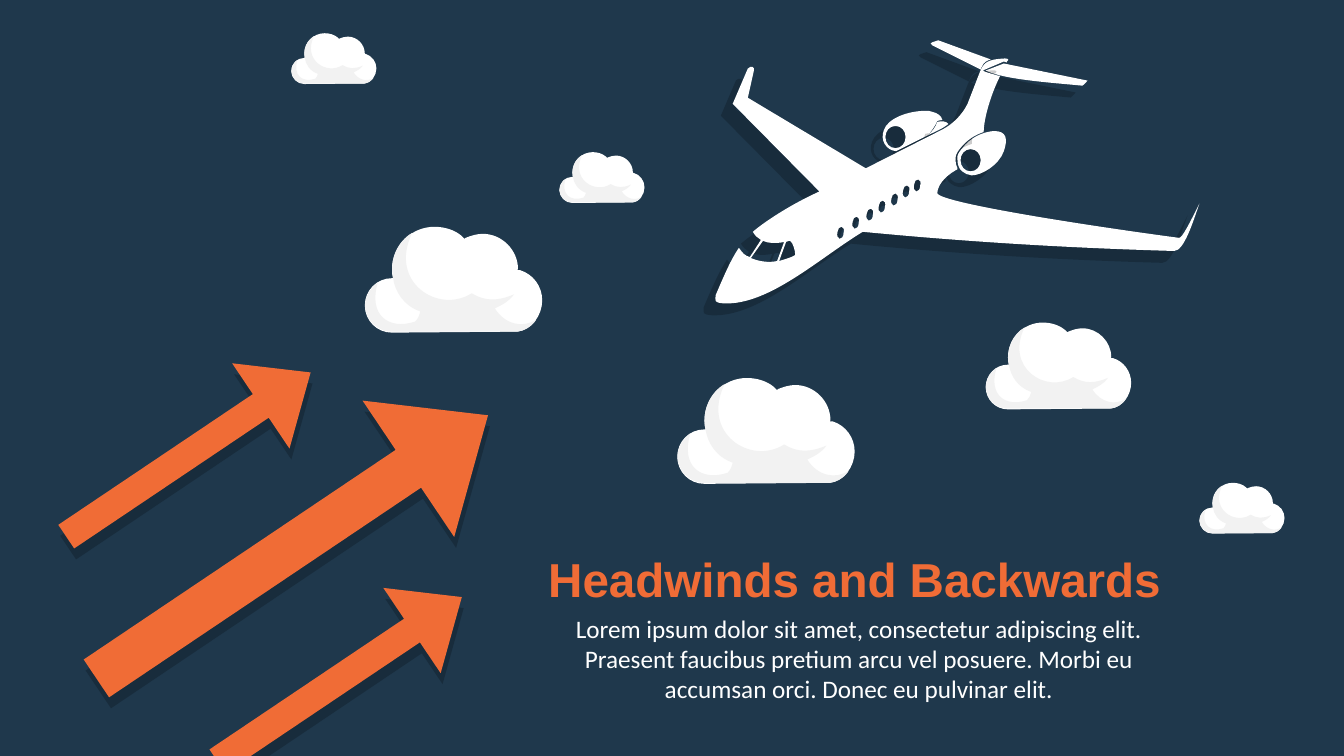
from lxml import etree
from pptx import Presentation
from pptx.dml.color import RGBColor
from pptx.enum.shapes import MSO_SHAPE
from pptx.enum.text import MSO_AUTO_SIZE, PP_ALIGN
from pptx.oxml.ns import qn
from pptx.util import Cm, Pt

RECT, ARROW = MSO_SHAPE.RECTANGLE, MSO_SHAPE.RIGHT_ARROW
CENTER, FIT = PP_ALIGN.CENTER, MSO_AUTO_SIZE.SHAPE_TO_FIT_TEXT
NAVY, ORANGE, WHITE, GREY = "1F384C", "F06C36", "FFFFFF", "F2F2F2"
UNIT = Cm(0.0254)
FINE = 10

PUFF = ("69 0, 79 0 89 3 96 9, 99 12, 100 11, 105 9 111 7 117 7, 136 7 152 23 152 42, 151 43, "
        "154 43, 167 47 176 59 176 73, 176 88 165 103 151 104, 27 105, 12 105 0 93 0 78, "
        "0 63 12 51 27 51, 28 51, 27 48 27 45 27 42, 27 19 46 0 69 0")
SHADE = ("13 55, 3 87 23 103 50 94, 53 91 54 88 55 84, 38 78 30 64 28 51, 24 32 33 14 47 6, "
         "23 55 73 87 106 66, 119 74 132 74 148 67, 143 74 137 77 129 81, 139 97 157 101 170 92, "
         "166 99 158 103 152 104, 26 104, 16 104 6 97 2 87, -2 78 0 65 13 55")
CLOUDS = [(362, 225, 1), (555, 151, 0.48), (1190, 479, 0.48),
          (672, 375, 1), (978, 320, 0.82), (289, 33, 0.48)]

PANE = "0 0, -2 0 -4 2 -4 5, -5 9 -4 11 -2 12, 0 12 2 10 2 6, 3 3 2 0 0 0"
PANES = [(835, 225), (850, 215), (864, 207), (876, 199), (888.5, 192), (900, 184), (911, 178)]
RING = "0 -11, -6 -11 -10 -6 -10 0, -10 6 -6 11 0 11, 6 11 10 6 10 0, 10 -6 6 -11 0 -11"
RIGHT = ("986 130, 999 130 1000 138 996 150, 991 164 974 174 964 174, 957 173 950 169 950 159, "
         "949 154 951 152 954 148, 963 136 975 131 986 130")
LEFT = ("918 110, 921 110 923 110 925 111, 930 112 934 115 935 119, 933 119 931 120 930 120, "
        "928 125 924 130 921 134, 919 135, 889 150, 879 149 873 139 877 129, 881 117 902 110 918 110")
MOUNT = "921 134, 925 130 928 127 930 121, 934 120 939 120 941 123, 935 128 927 131 921 134"
TAILS = ["978 70, 996 63, 1079 80, 1078 82 1076 83 1074 85, 1043 82 996 79 978 70",
         "925 45, 923 44 923 42 925 42, 927 41 929 41 931 40, 983 59, 976 61 975 64 973 69"]
GLASS = ["757 239, 745 256, 752 259 762 261 771 259, 778 240, 770 242 761 241 757 239",
         "784 239, 783 239 782 239 780 240, 773 259, 779 257 784 256 789 253, 789 249 787 241 784 239"]
HULL = ("997 58, 1000 58 1002 59 999 61, 999 62, 996 61, 975 70, 978 72 984 73 990 75, 992 75, "
        "992 76, 983 94 976 118 976 131, 967 134 959 139 952 148, 949 152 948 154 948 159, "
        "948 162 949 165 950 167, 950 168, 948 169, 936 176 930 185 930 192, "
        "936 202 1087 225 1170 236, 1173 236 1180 222 1190 202, 1184 219 1175 249 1165 249, "
        "1060 246 960 240 856 230, 813 256 763 303 718 301, 708 300 710 299 710 293, "
        "719 272 725 258 733 246, 734 247, 736 250 739 254 744 255, 755 238, "
        "752 236 749 234 747 230, 756 222 782 204 813 190, 727 103, 742 68, "
        "745 65 749 66 748 70, 742 97, 859 167, 936 128, 945 123 954 115 960 103, 972 72, "
        "976 62 979 59 997 58")


def tint(code):
    """Turn a hex string into a colour."""
    return RGBColor.from_string(code)


def trace(route, left=0, top=0, size=1):
    """Return the steps of a closed outline: one point for a line, three for a curve."""
    loop = []
    for part in route.split(","):
        nums = [float(n) for n in part.split()]
        loop.append([((x * size + left) * FINE, (y * size + top) * FINE)
                     for x, y in zip(nums[::2], nums[1::2])])
    return loop


def paint(shape, fill, cast=None):
    """Fill a shape, with a faint hard shadow if cast gives its distance and angle."""
    shape.fill.solid()
    shape.fill.fore_color.rgb = tint(fill)
    shape.line.fill.background()
    shape.shadow.inherit = False
    if cast:
        reach, angle = cast
        effects = shape._element.spPr.find(qn("a:effectLst"))
        shade = etree.SubElement(effects, qn("a:outerShdw"), blurRad="0", dist=str(Pt(reach)),
                                 dir=str(angle * 60000), algn="ctr", rotWithShape="0")
        black = etree.SubElement(shade, qn("a:srgbClr"), val="000000")
        etree.SubElement(black, qn("a:alpha"), val="20000")


def bend(shape, loops):
    """Join each run of three points into a cubic curve."""
    track = next(shape._element.iter(qn("a:path")))
    nodes = iter(list(track))
    for loop in loops:
        for step in loop:
            group = [next(nodes) for _ in step]
            if len(group) == 3:
                curve = etree.Element(qn("a:cubicBezTo"))
                group[0].addprevious(curve)
                for node in group:
                    curve.append(node[0])
                    track.remove(node)
        next(nodes)


def draw(shapes, loops, fill, cast=None):
    """Draw one freeform from closed loops, where inner loops are holes."""
    pen = shapes.build_freeform(*loops[0][0][0], scale=UNIT / FINE)
    for index, (start, *steps) in enumerate(loops):
        if index:
            pen.move_to(*start[0])
        pen.add_line_segments([point for step in steps for point in step])
    shape = pen.convert_to_shape()
    bend(shape, loops)
    paint(shape, fill, cast)


def plane(slide):
    """Draw the jet as one group."""
    shapes = slide.shapes.add_group_shape().shapes
    panes = [trace(PANE, *place) for place in PANES]
    parts = [[trace(RIGHT), trace(RING, 963, 159)], [trace(LEFT), trace(RING, 888.5, 136)],
             [trace(MOUNT)], *[[trace(tail)] for tail in TAILS],
             [trace(HULL), *map(trace, GLASS), *panes]]
    for loops in parts:
        draw(shapes, loops, WHITE, (12, 135))


def cloud(slide, left, top, size):
    """Draw a cloud with its grey shade as one group."""
    shapes = slide.shapes.add_group_shape().shapes
    for route, fill in ((PUFF, WHITE), (SHADE, GREY)):
        draw(shapes, [trace(route, left, top, size)], fill)


def arrow(slide, left, top, width, height):
    """Add a slanted orange arrow."""
    shape = slide.shapes.add_shape(ARROW, Cm(left), Cm(top), Cm(width), Cm(height))
    shape.adjustments[0], shape.adjustments[1] = 0.277, 0.584
    shape.rotation = 326.1
    paint(shape, ORANGE, (8, 80))


def write(slide, text, left, top, width, height, font, size, color, bold=False):
    """Add a centred, wrapping text box."""
    frame = slide.shapes.add_textbox(Cm(left), Cm(top), Cm(width), Cm(height)).text_frame
    frame.word_wrap = True
    frame.auto_size = FIT
    para = frame.paragraphs[0]
    para.alignment = CENTER
    run = para.add_run()
    run.text = text
    run.font.name, run.font.size, run.font.bold = font, Pt(size), bold
    run.font.color.rgb = tint(color)


def main():
    """Build and save the slide."""
    deck = Presentation()
    deck.slide_width, deck.slide_height = Cm(33.87), Cm(19.05)
    slide = deck.slides.add_slide(deck.slide_layouts[6])
    sky = slide.shapes.add_shape(RECT, 0, 0, deck.slide_width, deck.slide_height)
    paint(sky, NAVY)
    plane(slide)
    write(slide, "Headwinds and Backwards", 13.08, 13.74, 16.92, 1.7,
          font="Arial", size=34, color=ORANGE, bold=True)
    for place in CLOUDS:
        cloud(slide, *place)
    arrow(slide, 1.42, 11.71, 11.89, 4.14)
    for left, top in ((1.04, 10.16), (4.85, 15.82)):
        arrow(slide, left, top, 7.42, 2.59)
    write(slide, "Lorem ipsum dolor sit amet, consectetur adipiscing elit. Praesent faucibus "
          "pretium arcu vel posuere. Morbi eu accumsan orci. Donec eu pulvinar elit.",
          13.34, 15.32, 16.61, 2.57, font="Calibri", size=18, color=WHITE)
    deck.save("out.pptx")


if __name__ == "__main__":
    main()
